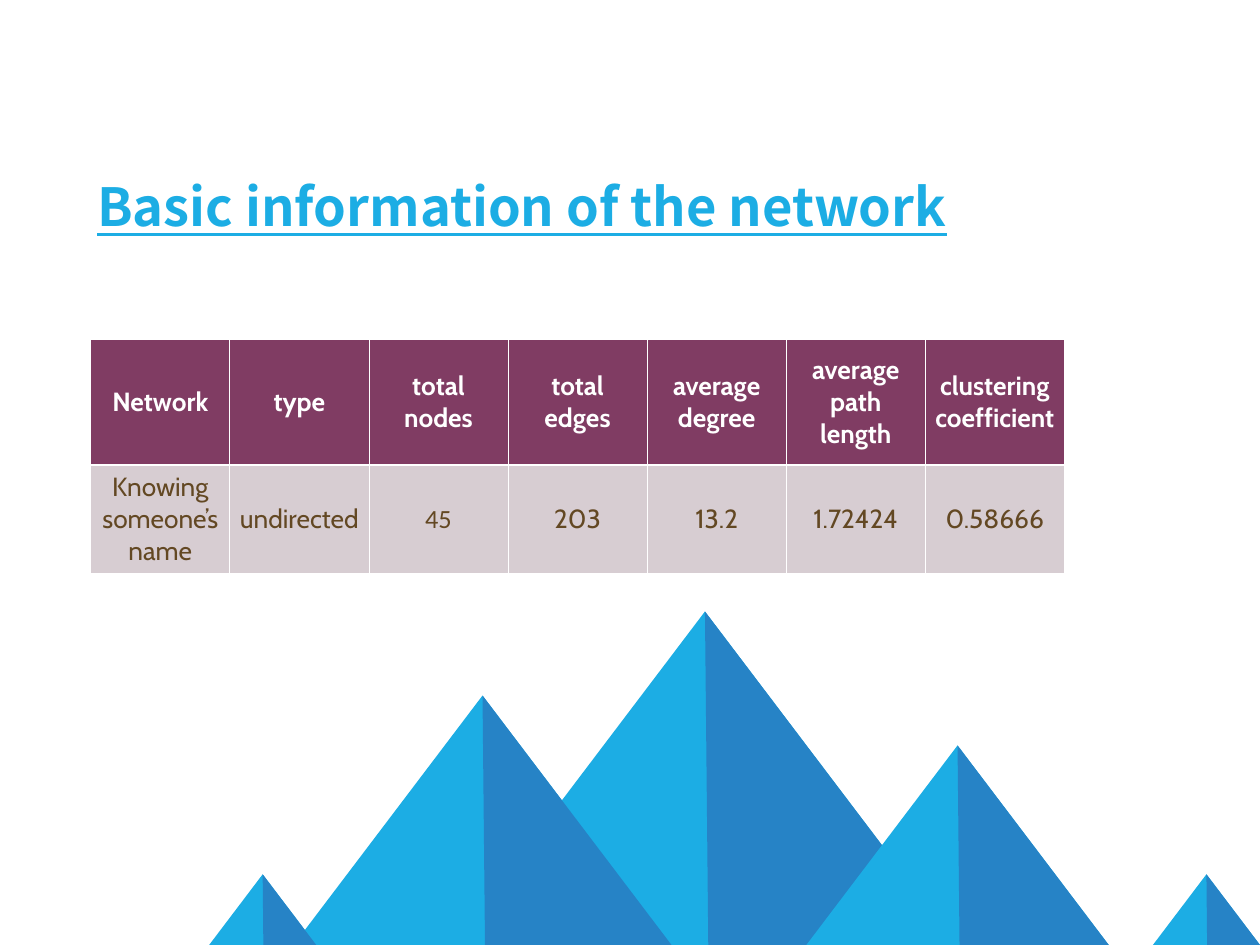
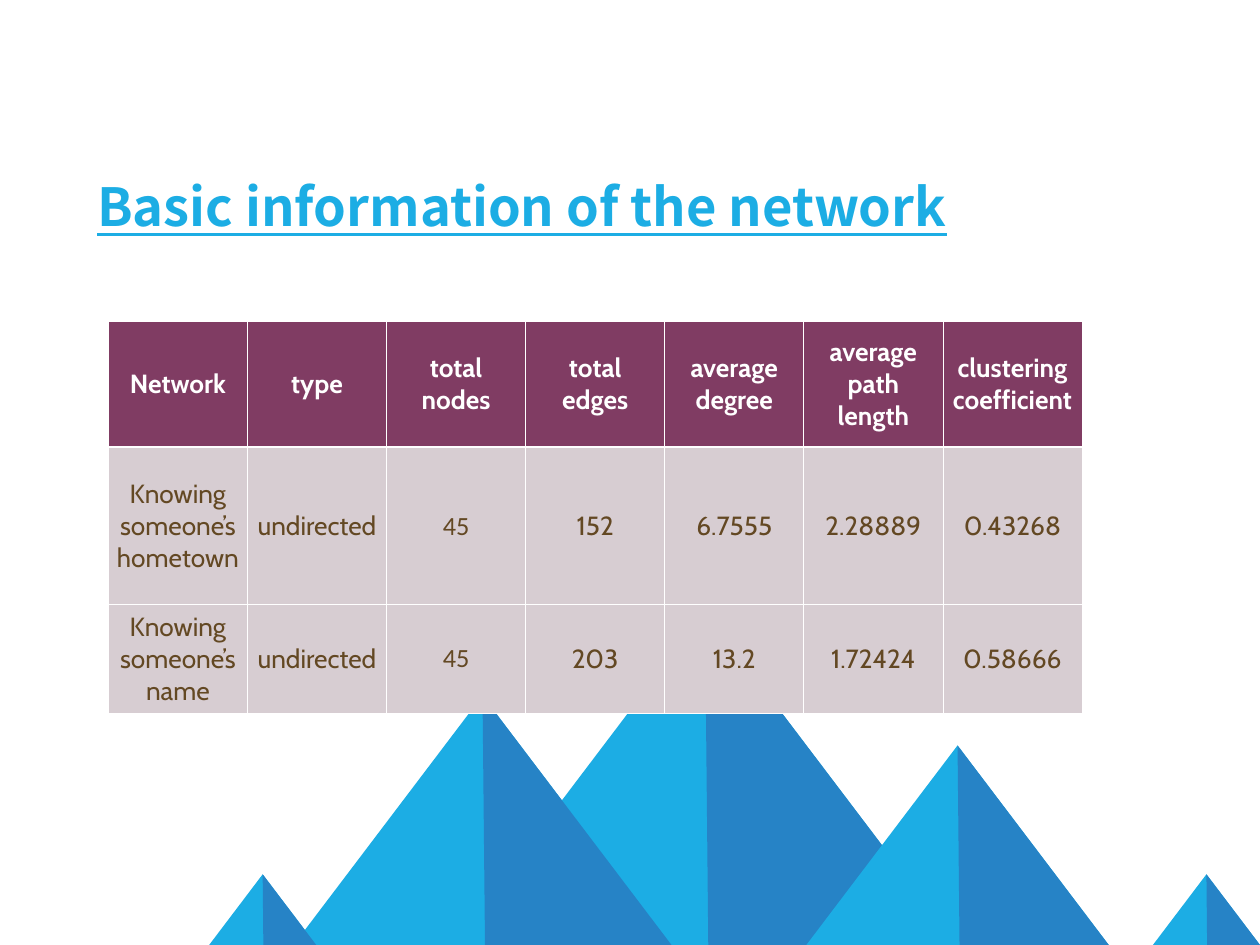
from lxml.etree import SubElement
from pptx import Presentation
from pptx.dml.color import RGBColor
from pptx.enum.shapes import MSO_SHAPE
from pptx.enum.text import MSO_ANCHOR, MSO_AUTO_SIZE, PP_ALIGN
from pptx.oxml.ns import qn
from pptx.util import Inches, Pt

SKY = RGBColor(0x1C, 0xAD, 0xE4)
BLUE = RGBColor(0x26, 0x83, 0xC6)
PLUM = RGBColor(0x80, 0x3C, 0x63)
MAUVE = RGBColor(0xD7, 0xCD, 0xD2)
BROWN = RGBColor(0x63, 0x48, 0x23)
WHITE = RGBColor(0xFF, 0xFF, 0xFF)

TITLE_FONT = "Noto Sans CJK SC"
TABLE_FONT = "Cabin"
NODE_FONT = "Calibri"

TITLE = "Basic information of the network"
HEADER = ["Network", "type", "total\nnodes", "total edges", "average degree",
          "average path length", "clustering coefficient"]
NAME_ROW = ["Knowing someone’s name", "undirected", "45", "203", "13.2", "1.72424", "0.58666"]
HOMETOWN_ROW = ["Knowing someone’s hometown", "undirected", "45", "152", "6.7555", "2.28889", "0.43268"]

PAGES = [
    {"left": 0.72, "top": 2.69, "rows": [HEADER, NAME_ROW], "heights": [1, 0.75]},
    {"left": 0.86, "top": 2.55, "rows": [HEADER, HOMETOWN_ROW, NAME_ROW], "heights": [1, 1.25, 0.75]},
]

PAGE_WIDTH, PAGE_HEIGHT = 10, 7.5
TABLE_WIDTH = 7.73
NODE_COLUMN = HEADER.index("total\nnodes")
MOUNTAINS = [(3.59, 4.01), (6.4, 2.4), (2.33, 3), (9.15, 0.85), (1.66, 0.85)]
STEEPNESS = 0.66
RIDGE_LEAN = 0.01
THIN, THICK = Pt(0.45), Pt(1.47)


def paint(shape, color):
    shape.shadow.inherit = False
    shape.fill.solid()
    shape.fill.fore_color.rgb = color
    shape.line.fill.background()


def add_mountain(page, left, width):
    height = width * STEEPNESS
    top = PAGE_HEIGHT - height
    peak = left + width / 2
    paint(page.shapes.add_shape(MSO_SHAPE.ISOSCELES_TRIANGLE, Inches(left), Inches(top),
                                Inches(width), Inches(height)), SKY)
    outline = page.shapes.build_freeform(Inches(peak), Inches(top))
    outline.add_line_segments([
        (Inches(peak + height * RIDGE_LEAN), Inches(PAGE_HEIGHT)),
        (Inches(left + width), Inches(PAGE_HEIGHT)),
    ])
    paint(outline.convert_to_shape(), BLUE)


def format_title(title):
    title.left, title.top = Inches(0.67), Inches(0.94)
    title.width, title.height = Inches(7.87), Inches(1)
    frame = title.text_frame
    frame.text = TITLE
    frame.auto_size = MSO_AUTO_SIZE.NONE
    frame.vertical_anchor = MSO_ANCHOR.BOTTOM
    para = frame.paragraphs[0]
    para.alignment = PP_ALIGN.LEFT
    para.line_spacing = 0.9
    font = para.runs[0].font
    font.name, font.size = TITLE_FONT, Pt(30)
    font.bold = font.underline = True
    font.color.rgb = SKY


def add_borders(cell, row):
    widths = {"lnL": THIN, "lnR": THIN,
              "lnT": THICK if row == 1 else THIN,
              "lnB": THICK if row == 0 else THIN}
    properties = cell._tc.get_or_add_tcPr()
    for side, width in widths.items():
        line = SubElement(properties, qn(f"a:{side}"), w=str(width))
        SubElement(SubElement(line, qn("a:solidFill")), qn("a:srgbClr"), val=str(WHITE))


def format_cell(cell, text, row, column):
    is_header = row == 0
    add_borders(cell, row)
    cell.fill.solid()
    cell.fill.fore_color.rgb = PLUM if is_header else MAUVE
    cell.vertical_anchor = MSO_ANCHOR.MIDDLE
    cell.margin_left = cell.margin_right = Inches(0.06)
    cell.margin_top = cell.margin_bottom = Inches(0.05)
    cell.text_frame.text = text
    for para in cell.text_frame.paragraphs:
        para.alignment = PP_ALIGN.CENTER
        for span in para.runs:
            font = span.font
            font.name = NODE_FONT if column == NODE_COLUMN and not is_header else TABLE_FONT
            font.size = Pt(15)
            font.bold = is_header
            font.color.rgb = WHITE if is_header else BROWN


def add_network_table(page, left, top, rows, heights):
    table = page.shapes.add_table(len(rows), len(HEADER), Inches(left), Inches(top),
                                  Inches(TABLE_WIDTH), Inches(sum(heights))).table
    table.horz_banding = False
    for column in table.columns:
        column.width = Inches(TABLE_WIDTH / len(HEADER))
    for row, (texts, height) in enumerate(zip(rows, heights)):
        table.rows[row].height = Inches(height)
        for column, text in enumerate(texts):
            format_cell(table.cell(row, column), text, row, column)


def main():
    deck = Presentation()
    deck.slide_width, deck.slide_height = Inches(PAGE_WIDTH), Inches(PAGE_HEIGHT)
    for content in PAGES:
        page = deck.slides.add_slide(deck.slide_layouts[5])
        format_title(page.shapes.title)
        for left, width in MOUNTAINS:
            add_mountain(page, left, width)
        add_network_table(page, **content)
    deck.save("out.pptx")


if __name__ == "__main__":
    main()
